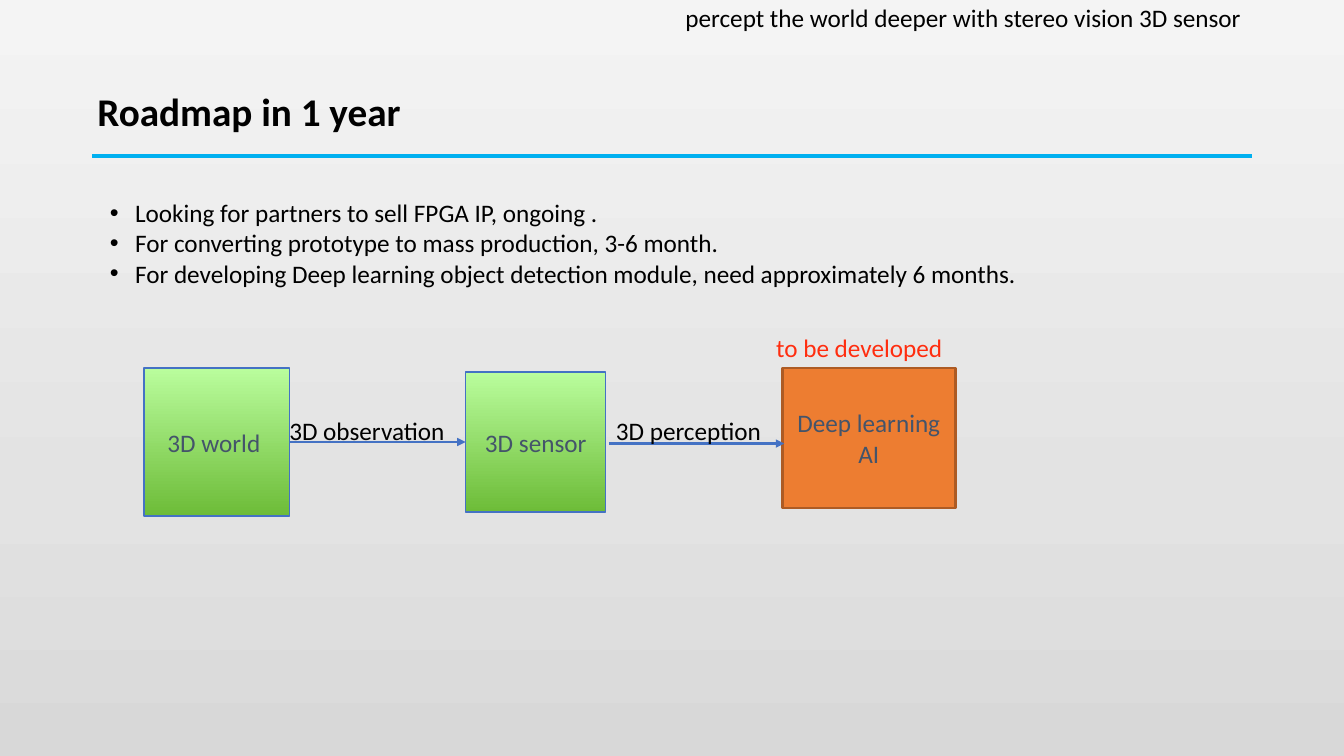
from copy import deepcopy
from pptx import Presentation
from pptx.dml.color import RGBColor
from pptx.enum.shapes import MSO_CONNECTOR, MSO_SHAPE
from pptx.enum.text import MSO_ANCHOR, PP_ALIGN
from pptx.oxml.ns import qn
from pptx.util import Inches, Pt
from lxml.etree import SubElement

BLACK = RGBColor(0x00, 0x00, 0x00)
SLATE = RGBColor(0x44, 0x54, 0x6A)
RED = RGBColor(0xFF, 0x2D, 0x0F)
CYAN = RGBColor(0x00, 0xB0, 0xF0)
BLUE = RGBColor(0x44, 0x72, 0xC4)
ORANGE = RGBColor(0xED, 0x7D, 0x31)
RUST = RGBColor(0xAD, 0x5B, 0x24)
GREEN = RGBColor(0x6D, 0xBC, 0x38)
LIME = RGBColor(0xBA, 0xFD, 0x9D)
GREYS = [(0, RGBColor(0xD8, 0xD8, 0xD8)), (0.35, RGBColor(0xE3, 0xE3, 0xE3)),
         (1, RGBColor(0xF4, 0xF4, 0xF4))]

deck = Presentation()
deck.slide_width, deck.slide_height = Inches(13.33), Inches(7.5)
slide = deck.slides.add_slide(deck.slide_layouts[6])
shapes = slide.shapes

# Grid of 160 columns by 90 rows
COL = deck.slide_width / 160
ROW = deck.slide_height / 90


def grid(x, y, w, h):
    return int(x * COL), int(y * ROW), int(w * COL), int(h * ROW)


def write(shape, text, color, size=18, align=PP_ALIGN.LEFT, anchor=MSO_ANCHOR.TOP):
    frame = shape.text_frame
    frame.word_wrap = True
    frame.vertical_anchor = anchor
    frame.margin_left = frame.margin_right = Inches(0.05)
    frame.margin_top = frame.margin_bottom = Inches(0.05)
    frame.text = text
    for para in frame.paragraphs:
        para.alignment = align
        for run in para.runs:
            run.font.name = "Calibri"
            run.font.size = Pt(size)
            run.font.color.rgb = color
    return frame


# Background, dark at the bottom
fill = slide.background.fill
fill.gradient()
fill.gradient_angle = 90
stops = slide.element.find(".//" + qn("a:gsLst"))
stops.append(deepcopy(stops[-1]))
for stop, (pos, grey) in zip(fill.gradient_stops, GREYS):
    stop.position = pos
    stop.color.rgb = grey

# Title
title = write(shapes.add_textbox(*grid(11, 8.6, 138, 10)), "Roadmap in 1 year",
              BLACK, 28, anchor=MSO_ANCHOR.MIDDLE)
title.paragraphs[0].line_spacing = 0.9
title.paragraphs[0].runs[0].font.bold = True

# Bullets
points = [
    "Looking for partners to sell FPGA IP, ongoing .",
    "For converting prototype to mass production, 3-6 month.",
    "For developing Deep learning object detection module, need approximately 6 months.",
]
body = write(shapes.add_textbox(*grid(12.48, 22.92, 131.76, 11.64)), "\n".join(points), BLACK)
for para in body.paragraphs:
    props = para._p.get_or_add_pPr()
    props.set("marL", str(Inches(0.25)))
    props.set("indent", str(-Inches(0.25)))
    SubElement(props, qn("a:buFont")).set("typeface", "Arial")
    SubElement(props, qn("a:buChar")).set("char", "•")

# Stages
stages = [
    ("3D world ", (17.16, 43.8, 17.28, 17.64), None, BLUE, 1),
    ("3D sensor", (55.44, 44.28, 16.68, 16.68), None, BLUE, 1),
    ("Deep learning\nAI", (93.12, 43.8, 20.64, 16.68), ORANGE, RUST, 2),
]
boxes = []
for text, place, paint, edge, width in stages:
    box = shapes.add_shape(MSO_SHAPE.RECTANGLE, *grid(*place))
    box.shadow.inherit = False
    if paint:
        box.fill.solid()
        box.fill.fore_color.rgb = paint
    else:
        box.fill.gradient()
        box.fill.gradient_angle = 90
        for stop, pos, tone in zip(box.fill.gradient_stops, (0, 1), (GREEN, LIME)):
            stop.position = pos
            stop.color.rgb = tone
    box.line.color.rgb = edge
    box.line.width = Pt(width)
    write(box, text, SLATE, align=PP_ALIGN.CENTER, anchor=MSO_ANCHOR.MIDDLE)
    boxes.append(box)

# Title rule and arrows
lines = []
for left, right, y, color, width, head in [
    (11, 149, 18.6, CYAN, 3, False),
    (34.44, 55.44, 52.62, BLUE, 2, True),
    (72.5, 93.36, 52.8, BLUE, 2, True),
]:
    x, top, end, _ = grid(left, y, right, 0)
    line = shapes.add_connector(MSO_CONNECTOR.STRAIGHT, x, top, end, top)
    line.line.color.rgb = color
    line.line.width = Pt(width)
    if head:
        SubElement(line.line._get_or_add_ln(), qn("a:tailEnd")).set("type", "triangle")
    SubElement(line._element.spPr, qn("a:effectLst"))
    lines.append(line)
lines[1].begin_connect(boxes[0], 3)
lines[1].end_connect(boxes[1], 1)

# Tagline and labels
for text, x, y, w, color in [
    ("percept the world deeper with stereo vision 3D sensor", 81, -0.36, 74.4, BLACK),
    ("3D observation", 33.84, 48.84, 22.2, BLACK),
    ("3D perception", 72.72, 48.84, 20.28, BLACK),
    ("to be developed", 91.8, 39, 23.16, RED),
]:
    write(shapes.add_textbox(*grid(x, y, w, 4.68)), text, color)

deck.save("out.pptx")
